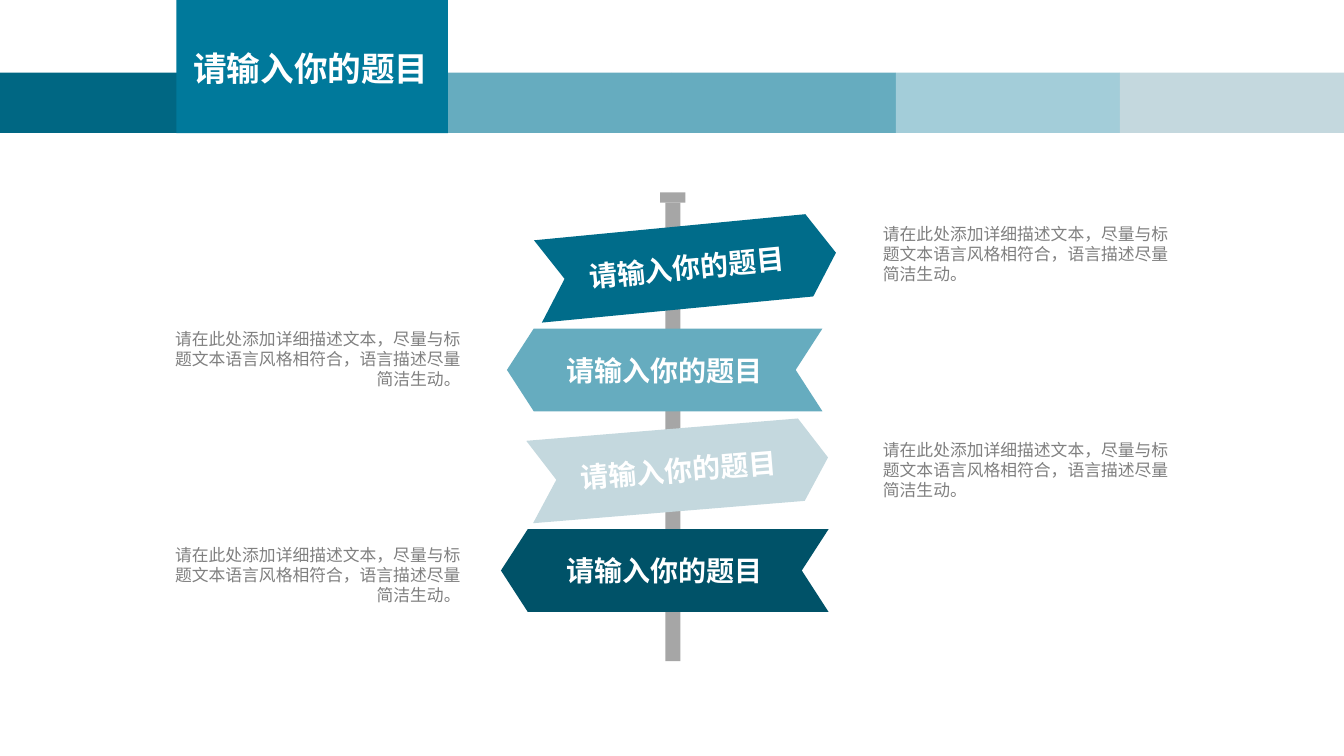
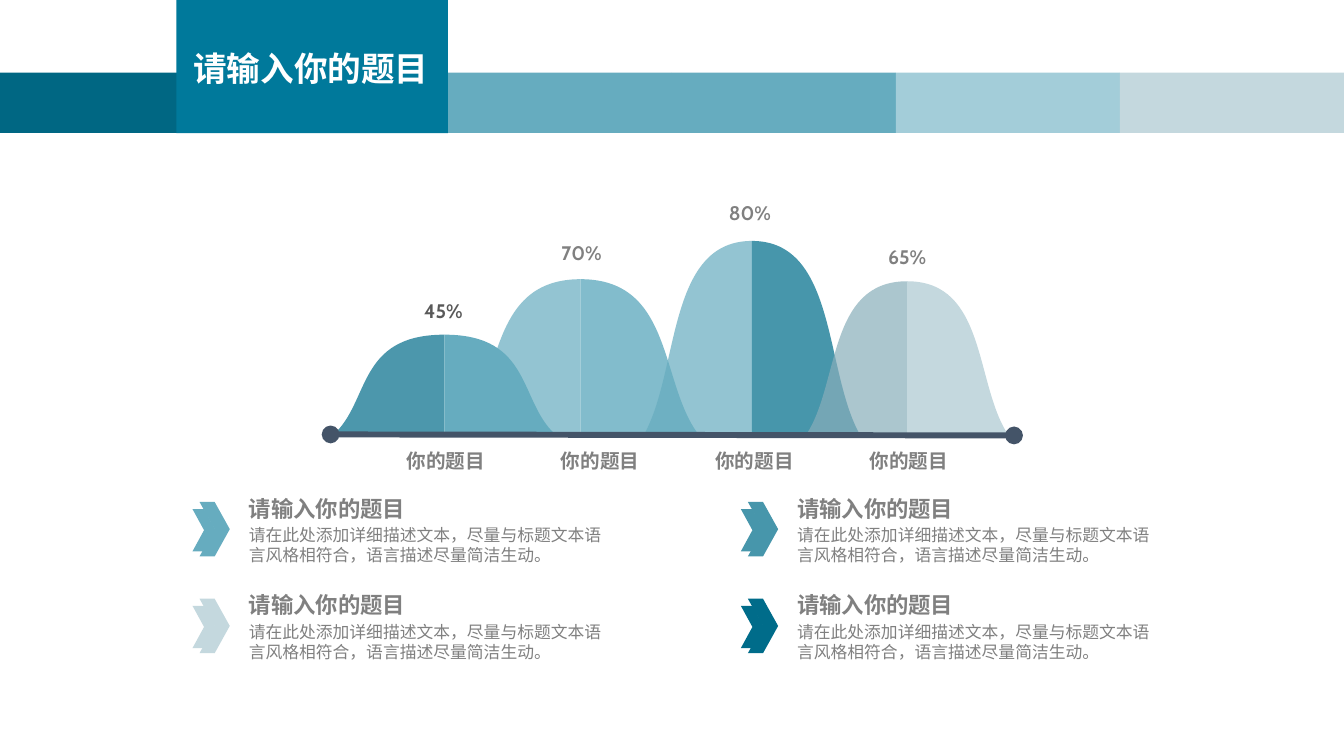
from dataclasses import dataclass

import lxml.etree
import pptx
import pptx.dml.color
import pptx.enum.shapes
import pptx.enum.text
import pptx.oxml.ns
import pptx.util

Inches = pptx.util.Inches
RGBColor = pptx.dml.color.RGBColor
ShapeType = pptx.enum.shapes.MSO_SHAPE
Align = pptx.enum.text.PP_ALIGN
Anchor = pptx.enum.text.MSO_ANCHOR
qn = pptx.oxml.ns.qn

# Colours
NAVY = RGBColor(0x00, 0x52, 0x68)
DEEP = RGBColor(0x00, 0x67, 0x83)
OCEAN = RGBColor(0x00, 0x6C, 0x8A)
BLUE = RGBColor(0x00, 0x79, 0x9B)
STEEL = RGBColor(0x47, 0x96, 0xAB)
TEAL = RGBColor(0x66, 0xAC, 0xBF)
SKY = RGBColor(0x82, 0xBC, 0xCC)
PALE = RGBColor(0xA3, 0xCD, 0xD9)
MIST = RGBColor(0xC4, 0xD8, 0xDE)
HAZE = RGBColor(0x88, 0xAE, 0xBA)
AXIS = RGBColor(0x44, 0x54, 0x68)
POLE = RGBColor(0xA6, 0xA6, 0xA6)
GRAY = RGBColor(0x80, 0x80, 0x80)
DARK_GRAY = RGBColor(0x59, 0x59, 0x59)
WHITE = RGBColor(0xFF, 0xFF, 0xFF)

# Fonts and wording
TITLE_FONT, HEADING_FONT, BODY_FONT = "Noto Sans CJK SC", "Cabin", "Lato"
TITLE = "请输入你的题目"
LABEL = "你的题目"
DESCRIPTION = "请在此处添加详细描述文本，尽量与标题文本语言风格相符合，语言描述尽量简洁生动。"

# Measures in inches
SLIDE_WIDTH = 40 / 3
BAND_UNIT = SLIDE_WIDTH / 6
BASELINE = 4.31


@dataclass
class Block:
    left: float
    top: float
    width: float
    height: float
    fill: RGBColor


@dataclass
class Sign:
    left: float
    top: float
    width: float
    rotation: float
    points_left: bool
    fill: RGBColor
    description_left: float
    description_top: float


@dataclass
class Hill:
    center: float
    half_width: float
    height: float
    left_fill: RGBColor
    right_fill: RGBColor
    percent: str
    percent_left: float
    percent_top: float
    percent_color: RGBColor = GRAY


BAND_FILLS = {0: DEEP, 2: TEAL, 3: TEAL, 4: PALE, 5: MIST}
TITLE_BLOCK = Block(1.75, 0, 2 * BAND_UNIT - 1.75, 1.32, BLUE)
POST = [Block(6.6, 2.01, 0.15, 4.55, POLE), Block(6.55, 1.91, 0.25, 0.1, POLE)]
SIGNS = [
    Sign(5.33, 2.24, 2.97, 354.5, False, OCEAN, 8.76, 2.22),
    Sign(5.03, 3.26, 3.13, 0, True, TEAL, 1.67, 3.26),
    Sign(5.25, 4.25, 2.97, 355.3, False, MIST, 8.76, 4.36),
    Sign(4.97, 5.25, 3.25, 0, True, NAVY, 1.67, 5.4),
]
HILLS = [
    Hill(4.41, 1.1, 0.99, OCEAN, TEAL, "45%", 4.11, 2.93, DARK_GRAY),
    Hill(5.76, 1.17, 1.54, TEAL, SKY, "70%", 5.48, 2.35),
    Hill(7.46, 1.07, 1.92, TEAL, STEEL, "80%", 7.15, 1.95),
    Hill(9, 1, 1.52, HAZE, MIST, "65%", 8.71, 2.39),
]
LEGEND_FILLS = [TEAL, STEEL, MIST, OCEAN]


def write_text(frame, text: str, *, size: float, font: str, color: RGBColor,
               bold: bool = False, align=Align.LEFT, anchor=Anchor.TOP,
               wrap: bool = True, inset: tuple[float, float] = (0.1, 0.05)) -> None:
    """Put one formatted paragraph in a text frame."""
    frame.word_wrap = wrap
    frame.vertical_anchor = anchor
    frame.margin_left = frame.margin_right = Inches(inset[0])
    frame.margin_top = frame.margin_bottom = Inches(inset[1])
    paragraph = frame.paragraphs[0]
    paragraph.alignment = align
    run = paragraph.add_run()
    run.text = text
    run.font.size = pptx.util.Pt(size)
    run.font.bold = bold
    run.font.name = font
    run.font.color.rgb = color
    properties = run._r.get_or_add_rPr()
    properties.set("lang", "zh-CN")
    lxml.etree.SubElement(properties, qn("a:ea")).set("typeface", font)


def add_text(slide, left: float, top: float, width: float, height: float,
             text: str, **text_format) -> None:
    box = slide.shapes.add_textbox(Inches(left), Inches(top), Inches(width), Inches(height))
    write_text(box.text_frame, text, **text_format)


def paint(shape, fill: RGBColor, opacity: int = 100) -> None:
    """Give a shape a flat fill without line or shadow."""
    shape.shadow.inherit = False
    shape.line.fill.background()
    shape.fill.solid()
    shape.fill.fore_color.rgb = fill
    if opacity < 100:
        color = shape._element.spPr.find(qn("a:solidFill")).find(qn("a:srgbClr"))
        lxml.etree.SubElement(color, qn("a:alpha")).set("val", str(opacity * 1000))


def add_block(slide, block: Block, kind=ShapeType.RECTANGLE):
    shape = slide.shapes.add_shape(kind, Inches(block.left), Inches(block.top),
                                   Inches(block.width), Inches(block.height))
    paint(shape, block.fill)
    return shape


def add_shared_header(slide) -> None:
    """Draw the band and title, then move them to the layout the slides share."""
    for column, fill in BAND_FILLS.items():
        add_block(slide, Block(column * BAND_UNIT, 0.72, BAND_UNIT, 0.6, fill))
    add_block(slide, TITLE_BLOCK)
    add_text(slide, 1.82, 0.43, 2.56, 0.5, TITLE, size=24, font=TITLE_FONT,
             color=WHITE, bold=True, wrap=False, anchor=Anchor.MIDDLE)
    for shape in list(slide.shapes):
        slide.slide_layout.shapes._spTree.append(shape._element)


def add_sign(slide, sign: Sign) -> None:
    arrow = add_block(slide, Block(sign.left, sign.top, sign.width, 0.82, sign.fill),
                      ShapeType.NOTCHED_RIGHT_ARROW)
    arrow.adjustments[0] = 1.0
    arrow.adjustments[1] = 0.324
    arrow.rotation = sign.rotation
    if sign.points_left:
        arrow._element.spPr.find(qn("a:xfrm")).set("flipH", "1")
    write_text(arrow.text_frame, TITLE, size=20, font=HEADING_FONT, color=WHITE,
               bold=True, align=Align.CENTER, anchor=Anchor.MIDDLE)


def add_half_hill(slide, hill: Hill, side: int, fill: RGBColor, opacity: int) -> None:
    """Draw one half of a bell curve; side is -1 for left and 1 for right."""
    def place(across: float, down: float) -> tuple[int, int]:
        return (Inches(hill.center + side * hill.half_width * across),
                Inches(BASELINE - hill.height * (1 - down)))

    peak, foot = place(0, 0), place(1, 1)
    builder = slide.shapes.build_freeform(*peak)
    builder.add_line_segments([place(0, 1), foot, peak], close=True)
    shape = builder.convert_to_shape()
    # Bend the slope from foot to peak
    slope = list(shape._element.iter(qn("a:lnTo")))[-1]
    curve = lxml.etree.Element(qn("a:cubicBezTo"))
    for x, y in (place(0.67, 0.67), place(0.79, 0), peak):
        point = lxml.etree.SubElement(curve, qn("a:pt"))
        point.set("x", str(x - shape.left))
        point.set("y", str(y - shape.top))
    slope.getparent().replace(slope, curve)
    paint(shape, fill, opacity)


def add_axis(slide) -> None:
    axis = slide.shapes.add_connector(
        pptx.enum.shapes.MSO_CONNECTOR.STRAIGHT,
        Inches(3.28), Inches(BASELINE), Inches(10.06), Inches(4.32))
    axis.line.color.rgb = AXIS
    axis.line.width = pptx.util.Pt(4.25)
    line = axis.line._get_or_add_ln()
    for end in ("a:headEnd", "a:tailEnd"):
        lxml.etree.SubElement(line, qn(end)).set("type", "oval")
    lxml.etree.SubElement(axis._element.spPr, qn("a:effectLst"))


def add_legend_item(slide, left: float, top: float, fill: RGBColor) -> None:
    add_block(slide, Block(left, top + 0.19, 0.23, 0.42, fill), ShapeType.CHEVRON)
    add_block(slide, Block(left + 0.07, top + 0.12, 0.3, 0.54, fill), ShapeType.CHEVRON)
    add_text(slide, left + 0.46, top, 1.77, 0.37, TITLE, size=16, font=HEADING_FONT,
             color=GRAY, bold=True, wrap=False)
    add_text(slide, left + 0.46, top + 0.3, 3.7, 0.5, DESCRIPTION, size=12,
             font=BODY_FONT, color=GRAY)


def build_signpost(slide) -> None:
    for block in POST:
        add_block(slide, block)
    for sign in SIGNS:
        add_sign(slide, sign)
    # Descriptions, right side first
    for sign in sorted(SIGNS, key=lambda sign: sign.points_left):
        add_text(slide, sign.description_left, sign.description_top, 2.9, 0.61, DESCRIPTION,
                 size=12, font=BODY_FONT, color=GRAY, inset=(0, 0),
                 align=Align.RIGHT if sign.points_left else Align.LEFT)


def build_hills(slide) -> None:
    # Legend in two columns
    for index, fill in enumerate(LEGEND_FILLS):
        row, column = divmod(index, 2)
        add_legend_item(slide, 1.91 + 5.44 * column, 4.86 + 0.96 * row, fill)
    # Labels under the axis
    for index in range(len(HILLS)):
        add_text(slide, 3.93 + 1.53 * index, 4.4, 0.99, 0.34, LABEL, size=14,
                 font=HEADING_FONT, color=GRAY, bold=True, wrap=False, align=Align.CENTER)
    # Hills and percentages
    for hill in HILLS:
        add_half_hill(slide, hill, -1, hill.left_fill, 70)
        add_half_hill(slide, hill, 1, hill.right_fill, 100)
    for hill in HILLS:
        add_text(slide, hill.percent_left, hill.percent_top, 0.58, 0.33, hill.percent,
                 size=14, font=HEADING_FONT, color=hill.percent_color, bold=True,
                 align=Align.CENTER, inset=(0.04, 0.04))
    add_axis(slide)


def main() -> None:
    presentation = pptx.Presentation()
    presentation.slide_width = Inches(SLIDE_WIDTH)
    presentation.slide_height = Inches(7.5)
    blank_layout = presentation.slide_layouts[6]
    signpost_slide = presentation.slides.add_slide(blank_layout)
    add_shared_header(signpost_slide)
    build_signpost(signpost_slide)
    build_hills(presentation.slides.add_slide(blank_layout))
    presentation.save("out.pptx")


if __name__ == "__main__":
    main()
